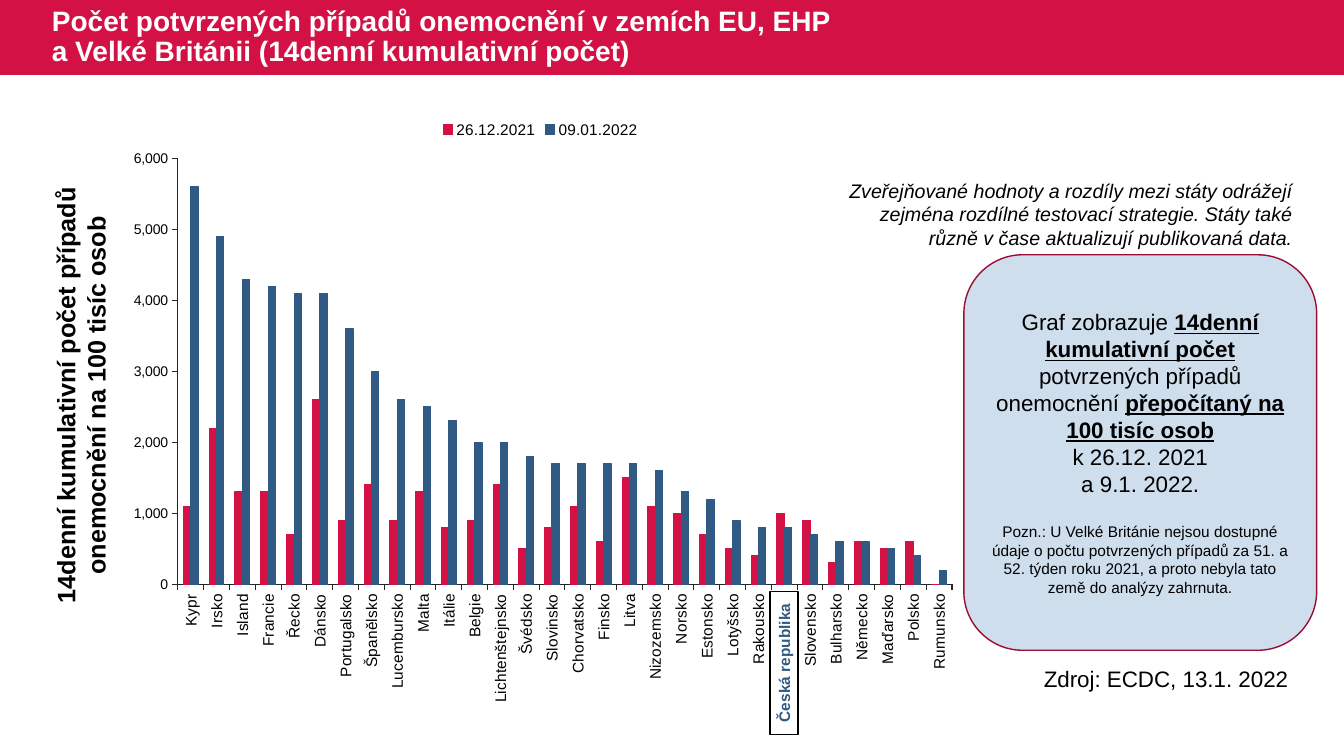
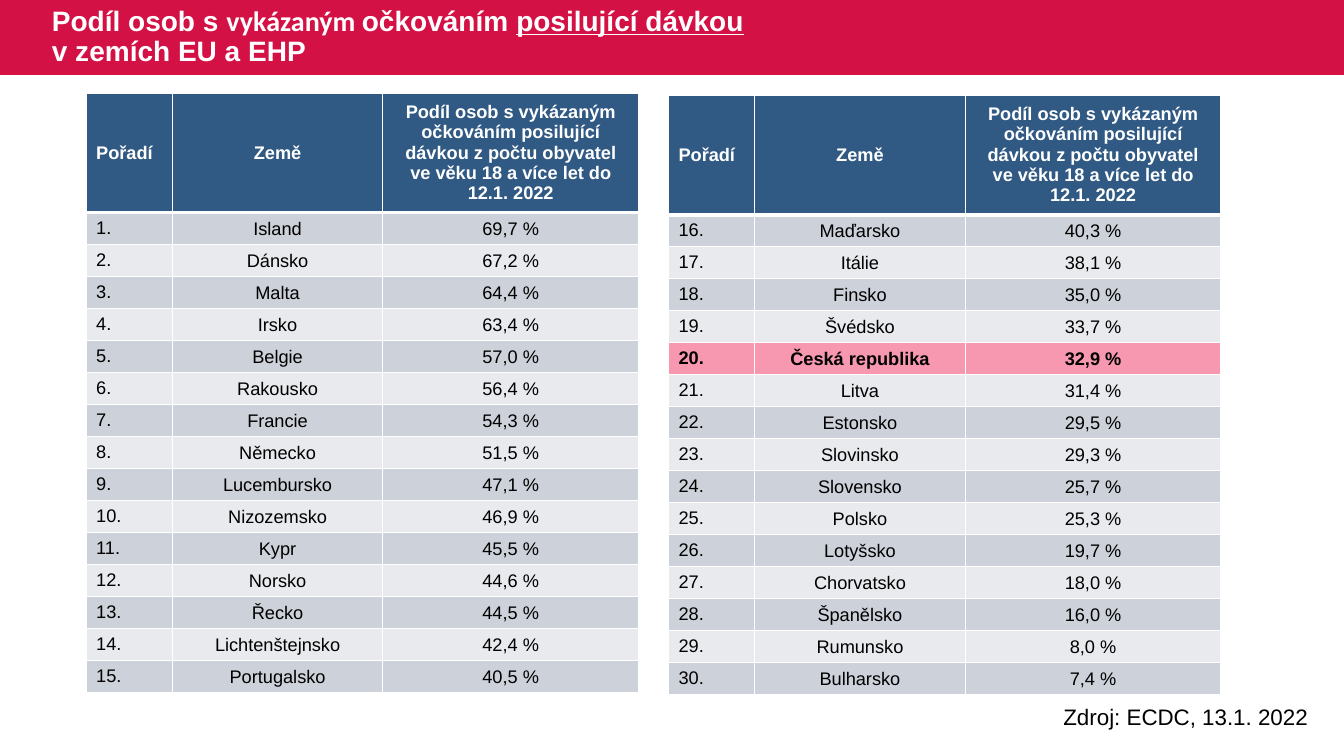
"""Build two slides on confirmed cases and booster doses in the EU and EEA."""
import dataclasses

import lxml.etree
import pptx
import pptx.chart.data
import pptx.dml.color
import pptx.enum.chart
import pptx.enum.shapes
import pptx.enum.text
import pptx.oxml
import pptx.oxml.ns
import pptx.util

Pt = pptx.util.Pt
qn = pptx.oxml.ns.qn
ALIGN = pptx.enum.text.PP_ALIGN
MIDDLE = pptx.enum.text.MSO_ANCHOR.MIDDLE
SHAPE = pptx.enum.shapes.MSO_SHAPE


@dataclasses.dataclass(frozen=True)
class Theme:
    """Hold the shared colours, fonts and type sizes."""
    red: str = "D31145"
    wine: str = "9C0D33"
    blue: str = "305983"
    pale: str = "CFDEED"
    pink: str = "F797B0"
    dark: str = "CDD1D9"
    light: str = "E8EAED"
    white: str = "FFFFFF"
    black: str = "000000"
    grey: str = "404040"
    axis: str = "262626"
    font: str = "Arial"
    alt: str = "Calibri"
    title: int = 20
    head: int = 18
    body: int = 16
    note: int = 14
    cell: int = 13
    small: int = 11
    tick: int = 10


T = Theme()
HOME = "Česká republika"
SOURCE = "Zdroj: ECDC, 13.1. 2022"
STRONG = {"bold": True, "underline": True}
HEADS = ("Pořadí", "Země", "Podíl osob s vykázaným očkováním posilující dávkou "
         "z počtu obyvatel ve věku 18 a více let do 12.1. 2022")
WIDTHS = (61.5, 150.5, 182.5)
HEAD_ROW, BODY_ROW = 79.5, 21.75
CASES = (
    ("Kypr", 1100, 5600), ("Irsko", 2200, 4900), ("Island", 1300, 4300),
    ("Francie", 1300, 4200), ("Řecko", 700, 4100), ("Dánsko", 2600, 4100),
    ("Portugalsko", 900, 3600), ("Španělsko", 1400, 3000),
    ("Lucembursko", 900, 2600), ("Malta", 1300, 2500), ("Itálie", 800, 2300),
    ("Belgie", 900, 2000), ("Lichtenštejnsko", 1400, 2000),
    ("Švédsko", 500, 1800), ("Slovinsko", 800, 1700), ("Chorvatsko", 1100, 1700),
    ("Finsko", 600, 1700), ("Litva", 1500, 1700), ("Nizozemsko", 1100, 1600),
    ("Norsko", 1000, 1300), ("Estonsko", 700, 1200), ("Lotyšsko", 500, 900),
    ("Rakousko", 400, 800), (HOME, 1000, 800), ("Slovensko", 900, 700),
    ("Bulharsko", 300, 600), ("Německo", 600, 600), ("Maďarsko", 500, 500),
    ("Polsko", 600, 400), ("Rumunsko", 0, 200),
)
DOSES = (
    ("Island", "69,7 %"), ("Dánsko", "67,2 %"), ("Malta", "64,4 %"),
    ("Irsko", "63,4 %"), ("Belgie", "57,0 %"), ("Rakousko", "56,4 %"),
    ("Francie", "54,3 %"), ("Německo", "51,5 %"), ("Lucembursko", "47,1 %"),
    ("Nizozemsko", "46,9 %"), ("Kypr", "45,5 %"), ("Norsko", "44,6 %"),
    ("Řecko", "44,5 %"), ("Lichtenštejnsko", "42,4 %"), ("Portugalsko", "40,5 %"),
    ("Maďarsko", "40,3 %"), ("Itálie", "38,1 %"), ("Finsko", "35,0 %"),
    ("Švédsko", "33,7 %"), (HOME, "32,9 %"), ("Litva", "31,4 %"),
    ("Estonsko", "29,5 %"), ("Slovinsko", "29,3 %"), ("Slovensko", "25,7 %"),
    ("Polsko", "25,3 %"), ("Lotyšsko", "19,7 %"), ("Chorvatsko", "18,0 %"),
    ("Španělsko", "16,0 %"), ("Rumunsko", "8,0 %"), ("Bulharsko", "7,4 %"),
)


def rgb(code):
    """Turn a hex code into a colour."""
    return pptx.dml.color.RGBColor.from_string(code)


def style(font, size, color=T.black, name=T.font, **marks):
    """Set the size, colour, face and marks of a font."""
    font.size, font.name = Pt(size), name
    font.color.rgb = rgb(color)
    for mark, value in marks.items():
        setattr(font, mark, value)


def write(frame, text, align=ALIGN.LEFT, space=None, before=0, **look):
    """Add a paragraph of plain text or of (text, format) runs."""
    para = frame.paragraphs[-1]
    if para.runs:
        para = frame.add_paragraph()
    para.alignment = align
    if space:
        para.line_spacing = space
    if before:
        para.space_before = Pt(before)
    for words, extra in [(text, {})] if isinstance(text, str) else text:
        if words == "\n":
            para.add_line_break()
            continue
        run = para.add_run()
        run.text = words
        style(run.font, **{**look, **extra})


def block(slide, kind, box, fill, line=None):
    """Add a filled shape and return it."""
    shape = slide.shapes.add_shape(kind, *map(Pt, box))
    shape.shadow.inherit = False
    shape.fill.solid()
    shape.fill.fore_color.rgb = rgb(fill)
    if line:
        shape.line.color.rgb = rgb(line)
        shape.line.width = Pt(1)
    else:
        shape.line.fill.background()
    shape.text_frame.word_wrap = True
    shape.text_frame.vertical_anchor = MIDDLE
    return shape


def label(slide, box, text, **look):
    """Add a wrapped text box and return it."""
    shape = slide.shapes.add_textbox(*map(Pt, box))
    shape.text_frame.word_wrap = True
    write(shape.text_frame, text, **look)
    return shape


def page(deck, title):
    """Add a slide with the red band and its title."""
    slide = deck.slides.add_slide(deck.slide_layouts[6])
    block(slide, SHAPE.RECTANGLE, (0, 0, 960, 53.5), T.red)
    head = label(slide, (30, 0, 577, 53.5), title, space=0.9,
                 size=T.title, color=T.white, bold=True)
    head.text_frame.vertical_anchor = MIDDLE
    return slide


def source(slide, left, top):
    """Add the line that names the data source."""
    label(slide, (left, top, 205, 26.5), SOURCE, size=T.body)


def scale(axis, size):
    """Format a chart axis."""
    axis.has_major_gridlines = False
    axis.major_tick_mark = pptx.enum.chart.XL_TICK_MARK.OUTSIDE
    axis.format.line.color.rgb = rgb(T.axis)
    axis.format.line.width = Pt(0.75)
    style(axis.tick_labels.font, size)


def frame_plot(chart, x, y, w, h):
    """Place the inner plot area by fractions of the chart."""
    area = chart._chartSpace.find(".//" + qn("c:plotArea"))
    for old in area.findall(qn("c:layout")):
        area.remove(old)
    layout = lxml.etree.Element(qn("c:layout"))
    manual = lxml.etree.SubElement(layout, qn("c:manualLayout"))
    rules = (("layoutTarget", "inner"), ("xMode", "edge"), ("yMode", "edge"),
             ("x", x), ("y", y), ("w", w), ("h", h))
    for tag, value in rules:
        lxml.etree.SubElement(manual, qn("c:" + tag)).set("val", str(value))
    area.insert(0, layout)


def columns(slide, box):
    """Add the column chart of cases by country."""
    names, old, new = zip(*CASES)
    data = pptx.chart.data.CategoryChartData(number_format="#,##0")
    data.categories = names
    data.add_series("26.12.2021", old)
    data.add_series("09.01.2022", new)
    kind = pptx.enum.chart.XL_CHART_TYPE.COLUMN_CLUSTERED
    chart = slide.shapes.add_chart(kind, *map(Pt, box), data).chart
    style(chart.font, T.tick, T.grey)
    chart.has_title = False
    chart.has_legend = True
    chart.legend.position = pptx.enum.chart.XL_LEGEND_POSITION.TOP
    chart.legend.include_in_layout = False
    style(chart.legend.font, T.small)
    plot = chart.plots[0]
    plot.vary_by_categories = False
    plot.gap_width, plot.overlap = 150, 0
    for series, color in zip(plot.series, (T.red, T.blue)):
        series.format.fill.solid()
        series.format.fill.fore_color.rgb = rgb(color)
        series.format.line.color.rgb = rgb(color)
        series.format.line.width = Pt(0.75)
    scale(chart.category_axis, T.small)
    turn = chart.category_axis._element.find(".//" + qn("a:bodyPr"))
    turn.set("rot", "-5400000")
    turn.set("vert", "horz")
    axis = chart.value_axis
    scale(axis, T.tick)
    axis.minimum_scale, axis.maximum_scale, axis.major_unit = 0, 6000, 1000
    axis.tick_labels.number_format = "#,##0"
    axis.tick_labels.number_format_is_linked = False
    frame_plot(chart, 0.072, 0.082, 0.914, 0.71)


def edge(cell, top, base):
    """Draw white borders on a cell, given top and bottom widths."""
    props = cell._tc.get_or_add_tcPr()
    for spot, (side, width) in enumerate(zip("LRTB", (1, 1, top, base))):
        line = lxml.etree.Element(qn("a:ln" + side), w=str(Pt(width)))
        fill = lxml.etree.SubElement(line, qn("a:solidFill"))
        lxml.etree.SubElement(fill, qn("a:srgbClr")).set("val", T.white)
        props.insert(spot, line)


def paint(cell, text, fill, mid, **look):
    """Fill a cell and write its text."""
    cell.fill.solid()
    cell.fill.fore_color.rgb = rgb(fill)
    cell.vertical_anchor = MIDDLE
    write(cell.text_frame, text, size=T.cell,
          align=ALIGN.CENTER if mid else ALIGN.LEFT, **look)


def ranks(slide, left, top, first, rows):
    """Add a ranking table that counts from the given place."""
    high = HEAD_ROW + BODY_ROW * len(rows)
    box = (left, top, sum(WIDTHS), high)
    table = slide.shapes.add_table(len(rows) + 1, len(WIDTHS), *map(Pt, box)).table
    table.horz_banding = False
    for column, width in zip(table.columns, WIDTHS):
        column.width = Pt(width)
    table.rows[0].height = Pt(HEAD_ROW)
    for col, text in enumerate(HEADS):
        cell = table.cell(0, col)
        paint(cell, text, T.blue, col > 0, color=T.white, bold=True)
        edge(cell, 1, 3)
    for row, (land, share) in enumerate(rows, 1):
        table.rows[row].height = Pt(BODY_ROW)
        home = land == HOME
        fill = T.pink if home else T.dark if row % 2 else T.light
        for col, text in enumerate((f"{first + row - 1}.", land, share)):
            cell = table.cell(row, col)
            if col:
                cell.margin_left = cell.margin_right = cell.margin_top = Pt(0.7)
                cell.margin_bottom = 0
            paint(cell, text, fill, col > 0, bold=home)
            edge(cell, 3 if row == 1 else 1, 1)


def cases(deck):
    """Build the slide with the chart of cases."""
    slide = page(deck, [
        ("Počet potvrzených případů onemocnění v zemích EU, EHP", {}), ("\n", {}),
        ("a Velké Británii (14denní kumulativní počet)", {})])
    frame = block(slide, SHAPE.ROUNDED_RECTANGLE, (688.5, 182, 252, 282.5),
                  T.pale, T.wine).text_frame
    look = {"align": ALIGN.CENTER, "size": T.body}
    write(frame, [("Graf zobrazuje ", {}), ("14denní kumulativní počet ", STRONG),
                  ("potvrzených případů onemocnění ", {}),
                  ("přepočítaný na 100 tisíc osob", STRONG)], **look)
    write(frame, "k 26.12. 2021", **look)
    write(frame, "a 9.1. 2022.", **look)
    write(frame, "Pozn.: U Velké Británie nejsou dostupné údaje o počtu potvrzených "
          "případů za 51. a 52. týden roku 2021, a proto nebyla tato země do "
          "analýzy zahrnuta.", align=ALIGN.CENTER, size=T.small, before=18.5)
    side = label(slide, (-105, 257, 325.5, 51),
                 "14denní kumulativní počet případů onemocnění na 100 tisíc osob",
                 align=ALIGN.CENTER, size=T.head, bold=True)
    side.rotation = 270
    source(slide, 738.5, 471.5)
    columns(slide, (83.5, 78, 605, 428.5))
    mark = block(slide, SHAPE.RECTANGLE, (509, 463.5, 102, 20), T.white, T.black)
    mark.rotation = 270
    mark.text_frame.word_wrap = False
    write(mark.text_frame, HOME, align=ALIGN.CENTER, size=T.small,
          color=T.blue, bold=True)
    label(slide, (593.5, 124, 337, 58.5),
          "Zveřejňované hodnoty a rozdíly mezi státy odrážejí zejména rozdílné "
          "testovací strategie. Státy také různě v čase aktualizují publikovaná "
          "data.", align=ALIGN.RIGHT, size=T.note, italic=True)


def doses(deck):
    """Build the slide with the two ranking tables."""
    slide = page(deck, [
        ("Podíl osob s ", {}), ("vykázaným ", {"name": T.alt}), ("očkováním ", {}),
        ("posilující dávkou", {"underline": True}), ("\n", {}),
        ("v zemích EU a EHP", {})])
    half = len(DOSES) // 2
    ranks(slide, 61.5, 66.5, 1, DOSES[:half])
    ranks(slide, 477.5, 68, half + 1, DOSES[half:])
    source(slide, 752.5, 499)


def main():
    """Build and save the deck."""
    deck = pptx.Presentation()
    deck.slide_width, deck.slide_height = Pt(960), Pt(540)
    cases(deck)
    doses(deck)
    deck.save("out.pptx")


if __name__ == "__main__":
    main()
